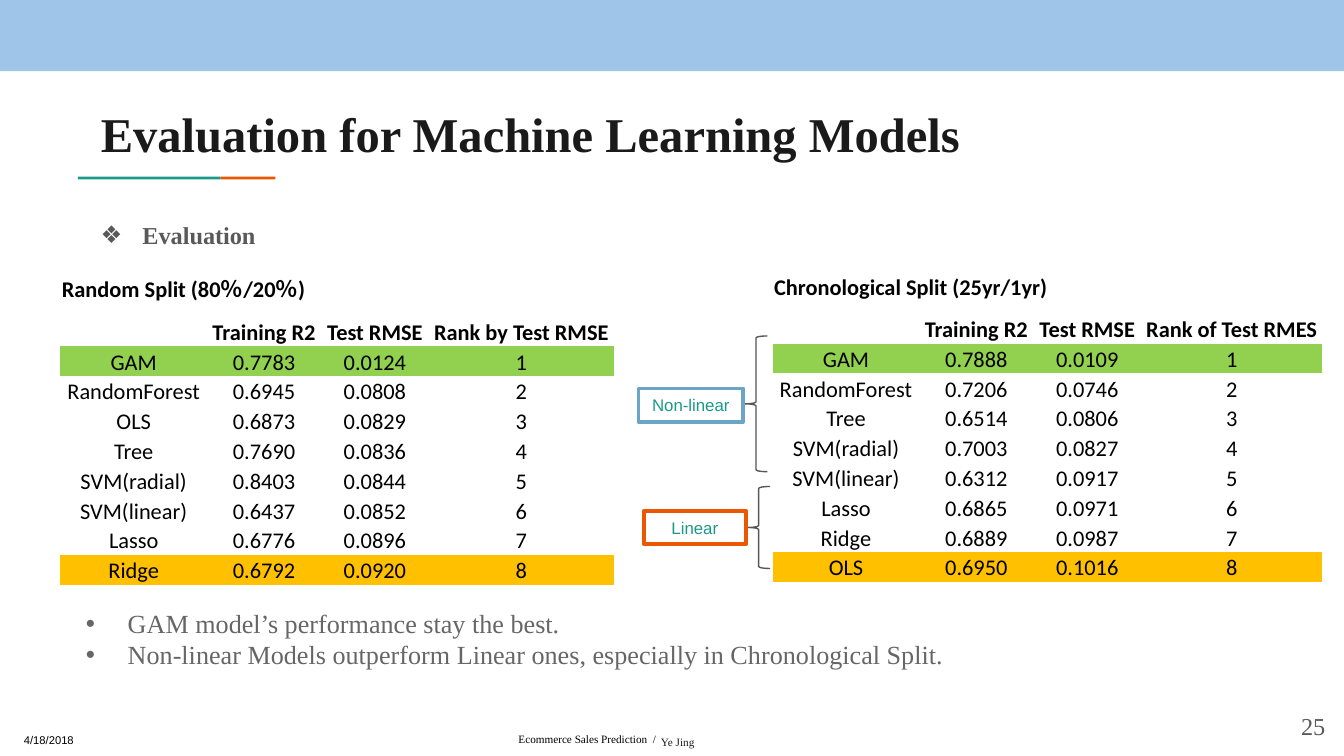
import pptx
import pptx.dml.color
import pptx.enum.shapes
import pptx.enum.text
import pptx.oxml
import pptx.oxml.ns
import pptx.util

RGBColor = pptx.dml.color.RGBColor
Align = pptx.enum.text.PP_ALIGN
Anchor = pptx.enum.text.MSO_ANCHOR
Preset = pptx.enum.shapes.MSO_SHAPE

SKY = RGBColor(0x9F, 0xC5, 0xE8)
BLUE = RGBColor(0x6A, 0xA4, 0xC8)
ORANGE = RGBColor(0xEB, 0x56, 0x00)
TEAL = RGBColor(0x1A, 0x99, 0x88)
GREEN = RGBColor(0x92, 0xD0, 0x50)
AMBER = RGBColor(0xFF, 0xC0, 0x00)
WHITE = RGBColor(0xFF, 0xFF, 0xFF)
BLACK = RGBColor(0, 0, 0)
INK = RGBColor(0x1A, 0x1A, 0x1A)
DARK_GREY = RGBColor(0x59, 0x59, 0x59)
BRACE_GREY = RGBColor(0x56, 0x56, 0x56)
GREY = RGBColor(0x66, 0x66, 0x66)

SERIF, SANS, TABLE_FONT = "Times New Roman", "Arial", "Calibri"
PLAIN_TABLE_STYLE = "{2D5ABB26-0587-4C30-8999-92F81FD0307C}"

RANDOM_SPLIT = [
    ("GAM", "0.7783", "0.0124"),
    ("RandomForest", "0.6945", "0.0808"),
    ("OLS", "0.6873", "0.0829"),
    ("Tree", "0.7690", "0.0836"),
    ("SVM(radial)", "0.8403", "0.0844"),
    ("SVM(linear)", "0.6437", "0.0852"),
    ("Lasso", "0.6776", "0.0896"),
    ("Ridge", "0.6792", "0.0920"),
]
CHRONOLOGICAL_SPLIT = [
    ("GAM", "0.7888", "0.0109"),
    ("RandomForest", "0.7206", "0.0746"),
    ("Tree", "0.6514", "0.0806"),
    ("SVM(radial)", "0.7003", "0.0827"),
    ("SVM(linear)", "0.6312", "0.0917"),
    ("Lasso", "0.6865", "0.0971"),
    ("Ridge", "0.6889", "0.0987"),
    ("OLS", "0.6950", "0.1016"),
]


def grid(cells):
    """Length of a number of grid cells, ten to the inch."""
    return pptx.util.Inches(cells / 10)


class SlideBuilder:
    def __init__(self, presentation):
        self.slide = presentation.slides.add_slide(presentation.slide_layouts[5])
        self.shapes = self.slide.shapes

    def add_run(self, paragraph, text, font, size, color, bold=False):
        run = paragraph.add_run()
        run.text = text
        run.font.name = font
        run.font.size = pptx.util.Pt(size)
        run.font.color.rgb = color
        run.font.bold = bold

    def set_frame(self, frame, top=1, anchor=Anchor.TOP):
        frame.word_wrap = True
        frame.auto_size = pptx.enum.text.MSO_AUTO_SIZE.NONE
        frame.vertical_anchor = anchor
        frame.margin_left = frame.margin_right = grid(1)
        frame.margin_top = frame.margin_bottom = grid(top)

    def add_bullet(self, paragraph, character, color):
        properties = paragraph._p.get_or_add_pPr()
        properties.set("marL", str(grid(3.12)))
        properties.set("indent", str(-grid(3.12)))
        namespace = pptx.oxml.ns.nsdecls("a")
        for markup in (
            f'<a:buClr {namespace}><a:srgbClr val="{color}"/></a:buClr>',
            f'<a:buFont {namespace} typeface="{SANS}"/>',
            f'<a:buChar {namespace} char="{character}"/>',
        ):
            properties.append(pptx.oxml.parse_xml(markup))

    def title(self, box, text, size):
        shape = self.shapes.title
        shape.left, shape.top, shape.width, shape.height = map(grid, box)
        self.set_frame(shape.text_frame)
        paragraph = shape.text_frame.paragraphs[0]
        paragraph.alignment = Align.LEFT
        self.add_run(paragraph, text, SERIF, size, INK, True)

    def text(self, box, lines, size, color, font=SERIF, bold=False, top=1,
             alignment=Align.LEFT, bullet=None, spacing=1):
        frame = self.shapes.add_textbox(*map(grid, box)).text_frame
        self.set_frame(frame, top)
        for index, line in enumerate(lines):
            paragraph = frame.add_paragraph() if index else frame.paragraphs[0]
            paragraph.alignment = alignment
            paragraph.line_spacing = spacing
            if bullet:
                self.add_bullet(paragraph, bullet, color)
            self.add_run(paragraph, line, font, size, color, bold)

    def bar(self, box, color):
        shape = self.shapes.add_shape(Preset.RECTANGLE, *map(grid, box))
        shape.shadow.inherit = False
        shape.fill.solid()
        shape.fill.fore_color.rgb = color
        shape.line.fill.background()
        return shape

    def label(self, box, text, border):
        shape = self.bar(box, WHITE)
        shape.line.color.rgb = border
        shape.line.width = pptx.util.Pt(2)
        self.set_frame(shape.text_frame, 0.5, Anchor.MIDDLE)
        paragraph = shape.text_frame.paragraphs[0]
        paragraph.alignment = Align.CENTER
        self.add_run(paragraph, text, SANS, 9, TEAL)

    def brace(self, box):
        shape = self.shapes.add_shape(Preset.LEFT_BRACE, *map(grid, box))
        shape.shadow.inherit = False
        shape.fill.background()
        shape.line.color.rgb = BRACE_GREY
        shape.line.width = pptx.util.Pt(0.75)

    def table(self, left, top, widths, title, rank_heading, results):
        """Ranked results, with the best row green and the last one amber."""
        rows = [(title, "", "", ""), ("", "Training R2", "Test RMSE", rank_heading)]
        rows += [(*result, str(rank)) for rank, result in enumerate(results, 1)]
        row_height = 2.22
        frame = self.shapes.add_table(
            len(rows), len(widths), grid(left), grid(top),
            grid(sum(widths)), grid(row_height * len(rows)))
        table = frame.table
        table.first_row = table.horz_banding = False
        table._tbl.tblPr[0].text = PLAIN_TABLE_STYLE
        for column, width in zip(table.columns, widths):
            column.width = grid(width)
        for row in table.rows:
            row.height = grid(row_height)
        table.cell(0, 0).merge(table.cell(0, len(widths) - 1))
        fills = {2: GREEN, len(rows) - 1: AMBER}
        for row_index, values in enumerate(rows):
            for column_index, value in enumerate(values):
                cell = table.cell(row_index, column_index)
                if not cell.is_spanned:
                    self.fill_cell(cell, value, fills.get(row_index), row_index < 2)
        table.cell(0, 0).text_frame.paragraphs[0].alignment = Align.LEFT

    def fill_cell(self, cell, value, fill, bold):
        cell.vertical_anchor = Anchor.BOTTOM
        cell.margin_left = cell.margin_right = cell.margin_top = grid(0.1)
        cell.margin_bottom = 0
        if fill:
            cell.fill.solid()
            cell.fill.fore_color.rgb = fill
        else:
            cell.fill.background()
        if value:
            paragraph = cell.text_frame.paragraphs[0]
            paragraph.alignment = Align.CENTER
            self.add_run(paragraph, value, TABLE_FONT, 12, BLACK, bold)


def main():
    presentation = pptx.Presentation()
    presentation.slide_width, presentation.slide_height = grid(100), grid(56.25)
    builder = SlideBuilder(presentation)

    builder.bar((0, 0, 100, 5.3), SKY)
    builder.bar((16.4, 13.15, 4.1, 0.2), ORANGE)
    builder.bar((5.8, 13.15, 10.6, 0.2), TEAL)
    builder.text((0.8, 53.6, 13.6, 2.4), ["4/18/2018"], 6, BLACK, SANS)
    builder.text((37.6, 53.7, 13.6, 1.6), ["Ecommerce Sales Prediction  /"], 6, BLACK)
    builder.title((6.5, 6.7, 84.1, 5.9), "Evaluation for Machine Learning Models", 26)
    builder.text((6.5, 15.1, 84.1, 24.7), ["Evaluation"], 13, DARK_GREY,
                 bold=True, bullet="❖", spacing=1.15)

    builder.table(4.5, 20.1, (10.9, 8.5, 8, 13.8),
                  "Random Split (80％/20％)", "Rank by Test RMSE", RANDOM_SPLIT)
    builder.table(57.5, 20.2, (10.9, 8.5, 8, 13.5),
                  "Chronological Split (25yr/1yr)", "Rank of Test RMES",
                  CHRONOLOGICAL_SPLIT)

    builder.brace((55.4, 25, 1.7, 10.1))
    builder.label((47.5, 28.9, 7.8, 2.5), "Non-linear", BLUE)
    builder.brace((55.6, 36.2, 1.7, 6.1))
    builder.label((47.9, 38, 7.6, 2.5), "Linear", ORANGE)

    builder.text((5.4, 44.7, 74.2, 5.7), [
        "GAM model’s performance stay the best.",
        "Non-linear Models outperform Linear ones, especially in Chronological Split.",
    ], 14, GREY, top=0.5, bullet="•")
    builder.text((48.2, 53.7, 14, 2.1), ["Ye Jing"], 6, INK)
    builder.text((93.6, 51.9, 6, 4.3), ["25"], 13, DARK_GREY, alignment=Align.RIGHT)
    presentation.save("out.pptx")


if __name__ == "__main__":
    main()
